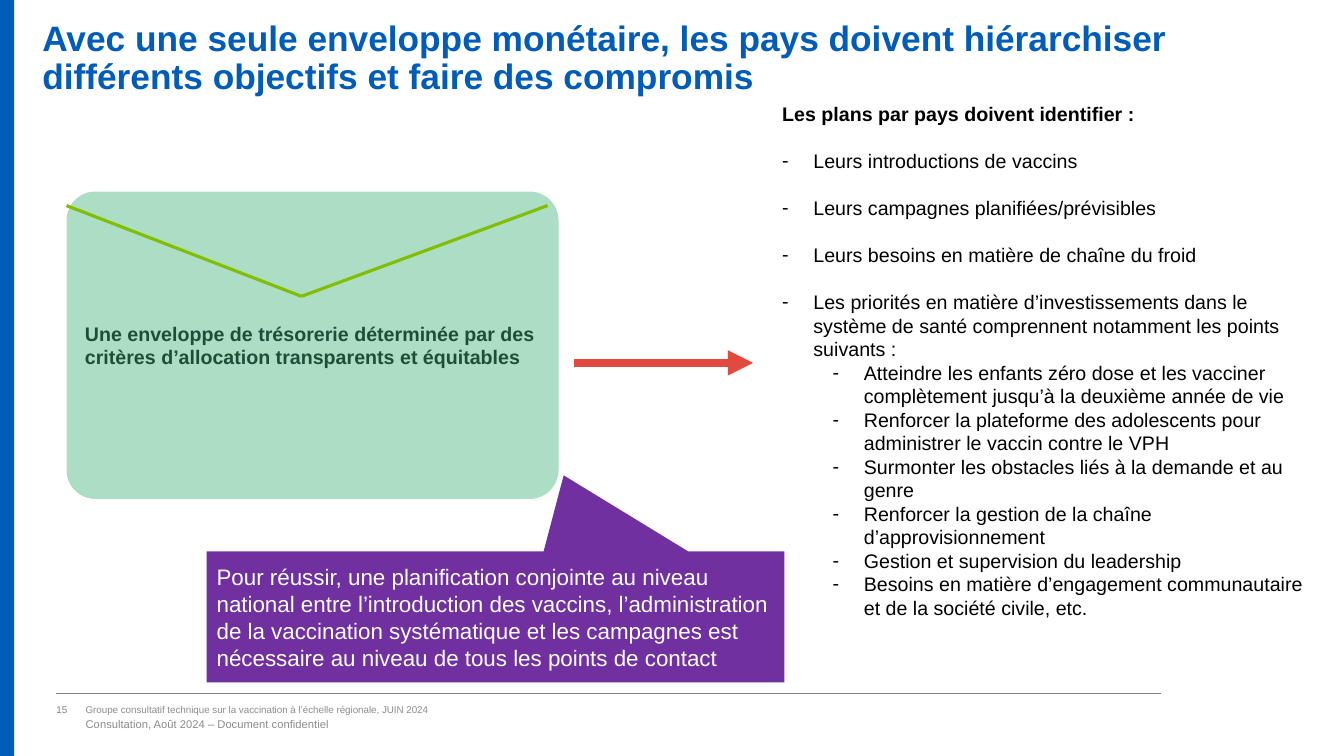
from dataclasses import dataclass

from lxml import etree
from pptx import Presentation
from pptx import util as u
from pptx.dml.color import RGBColor
from pptx.enum import shapes, text
from pptx.oxml.ns import qn


@dataclass(frozen=True)
class Theme:
    font: str = "Arial"
    blue: str = "005CB9"
    rule: str = "808080"
    footer: str = "8C8C8C"
    mint: str = "ABDEC5"
    forest: str = "1F4E37"
    lime: str = "83BD00"
    red: str = "E24A3F"
    purple: str = "7030A0"
    white: str = "FFFFFF"
    black: str = "000000"
    title_size: float = 25.2
    body_size: float = 14
    callout_size: float = 16
    small_size: float = 7
    footer_size: float = 8


THEME = Theme()

PLANS = [
    "Leurs introductions de vaccins",
    "Leurs campagnes planifiées/prévisibles",
    "Leurs besoins en matière de chaîne du froid",
    "Les priorités en matière d’investissements dans le système de santé "
    "comprennent notamment les points suivants :",
]
PRIORITIES = [
    "Atteindre les enfants zéro dose et les vacciner complètement jusqu’à la deuxième année de vie",
    "Renforcer la plateforme des adolescents pour administrer le vaccin contre le VPH",
    "Surmonter les obstacles liés à la demande et au genre",
    "Renforcer la gestion de la chaîne d’approvisionnement",
    "Gestion et supervision du leadership",
    "Besoins en matière d’engagement communautaire et de la société civile, etc.",
]


def add_block(page, box, fill, preset=shapes.MSO_SHAPE.RECTANGLE):
    block = page.shapes.add_shape(preset, *map(u.Inches, box))
    block.shadow.inherit = False
    block.fill.solid()
    block.fill.fore_color.rgb = RGBColor.from_string(fill)
    block.line.fill.background()
    return block


def add_line(page, start, end, color, width):
    line = page.shapes.add_connector(
        shapes.MSO_CONNECTOR.STRAIGHT, *map(u.Inches, (*start, *end)))
    line.line.color.rgb = RGBColor.from_string(color)
    line.line.width = u.Pt(width)
    etree.SubElement(line._element.spPr, qn("a:effectLst"))
    return line


def write(para, words, size, color, bold=False):
    para.alignment = text.PP_ALIGN.LEFT
    span = para.add_run()
    span.text = words
    span.font.name = THEME.font
    span.font.size = u.Pt(size)
    span.font.bold = bold
    span.font.color.rgb = RGBColor.from_string(color)


def set_frame(shape, anchor):
    shape.text_frame.word_wrap = True
    shape.text_frame.vertical_anchor = anchor
    return shape.text_frame


def add_label(page, box, words, size, color, bold=False, anchor=text.MSO_ANCHOR.BOTTOM):
    """Add a text box without margins and return its paragraph."""
    frame = set_frame(page.shapes.add_textbox(*map(u.Inches, box)), anchor)
    frame.margin_left = frame.margin_right = frame.margin_top = frame.margin_bottom = 0
    write(frame.paragraphs[0], words, size, color, bold)
    return frame.paragraphs[0]


def add_dash(para, indent):
    props = para._p.get_or_add_pPr()
    props.set("marL", str(u.Inches(indent)))
    props.set("indent", str(-u.Inches(0.31)))
    etree.SubElement(props, qn("a:buFont"), typeface=THEME.font)
    etree.SubElement(props, qn("a:buChar"), char="-")


def add_title(page, box):
    para = add_label(
        page, box,
        "Avec une seule enveloppe monétaire, les pays doivent hiérarchiser "
        "différents objectifs et faire des compromis",
        THEME.title_size, THEME.blue, True, text.MSO_ANCHOR.TOP)
    para.line_spacing = 0.9


def add_envelope(page, box):
    left, top, width, height = box
    body = add_block(page, box, THEME.mint, shapes.MSO_SHAPE.ROUNDED_RECTANGLE)
    body.adjustments[0] = 0.094
    para = set_frame(body, text.MSO_ANCHOR.MIDDLE).paragraphs[0]
    para.space_after = u.Pt(6)
    write(para, "Une enveloppe de trésorerie déterminée par des critères "
          "d’allocation transparents et équitables",
          THEME.body_size, THEME.forest, True)
    fold = (left + 2.33, top + 1.04)
    for corner in (left, left + width - 0.11):
        add_line(page, (corner, top + 0.14), fold, THEME.lime, 2.25)


def add_arrow(page, start, end):
    arrow = add_line(page, start, end, THEME.red, 6)
    etree.SubElement(arrow.line._get_or_add_ln(), qn("a:tailEnd"), type="triangle")


def add_plans(page, box):
    frame = set_frame(add_block(page, box, THEME.white), text.MSO_ANCHOR.TOP)
    write(frame.paragraphs[0], "Les plans par pays doivent identifier :",
          THEME.body_size, THEME.black, True)
    for level, items in enumerate((PLANS, PRIORITIES)):
        for item in items:
            para = frame.add_paragraph()
            para.level = level
            if level == 0:
                para.space_before = u.Pt(16.8)
            write(para, item, THEME.body_size, THEME.black)
            add_dash(para, 0.31 + 0.5 * level)


def add_callout(page, box):
    callout = add_block(page, box, THEME.purple, shapes.MSO_SHAPE.RECTANGULAR_CALLOUT)
    callout.adjustments[0] = 0.118
    callout.adjustments[1] = -1.08
    write(set_frame(callout, text.MSO_ANCHOR.MIDDLE).paragraphs[0],
          "Pour réussir, une planification conjointe au niveau national entre "
          "l’introduction des vaccins, l’administration de la vaccination "
          "systématique et les campagnes est nécessaire au niveau de tous les "
          "points de contact", THEME.callout_size, THEME.white)


def add_footer(page, box):
    left, top, width, height = box
    add_line(page, (left, top), (left + width, top), THEME.rule, 0.5)
    add_label(page, (left, top + 0.07, 0.29, 0.15), "15", THEME.small_size, THEME.rule)
    add_label(page, (left + 0.29, top + 0.07, 4.5, 0.15),
              "Groupe consultatif technique sur la vaccination à l’échelle régionale, JUIN 2024",
              THEME.small_size, THEME.footer)
    add_label(page, (left + 0.29, top + 0.22, 4.5, 0.15),
              "Consultation, Août 2024 – Document confidentiel",
              THEME.footer_size, THEME.footer)


def main():
    deck = Presentation()
    deck.slide_width, deck.slide_height = u.Inches(13.33), u.Inches(7.5)
    page = deck.slides.add_slide(deck.slide_layouts[6])
    add_block(page, (0, 0, 0.14, 7.5), THEME.blue)
    add_title(page, (0.42, 0.21, 12.2, 0.65))
    add_footer(page, (0.56, 6.88, 10.96, 0.37))
    add_plans(page, (7.66, 0.96, 5.37, 5.28))
    add_envelope(page, (0.66, 1.9, 4.88, 3.05))
    add_arrow(page, (5.69, 3.6), (7.47, 3.6))
    add_callout(page, (2.05, 5.47, 5.73, 1.3))
    deck.save("out.pptx")


if __name__ == "__main__":
    main()
